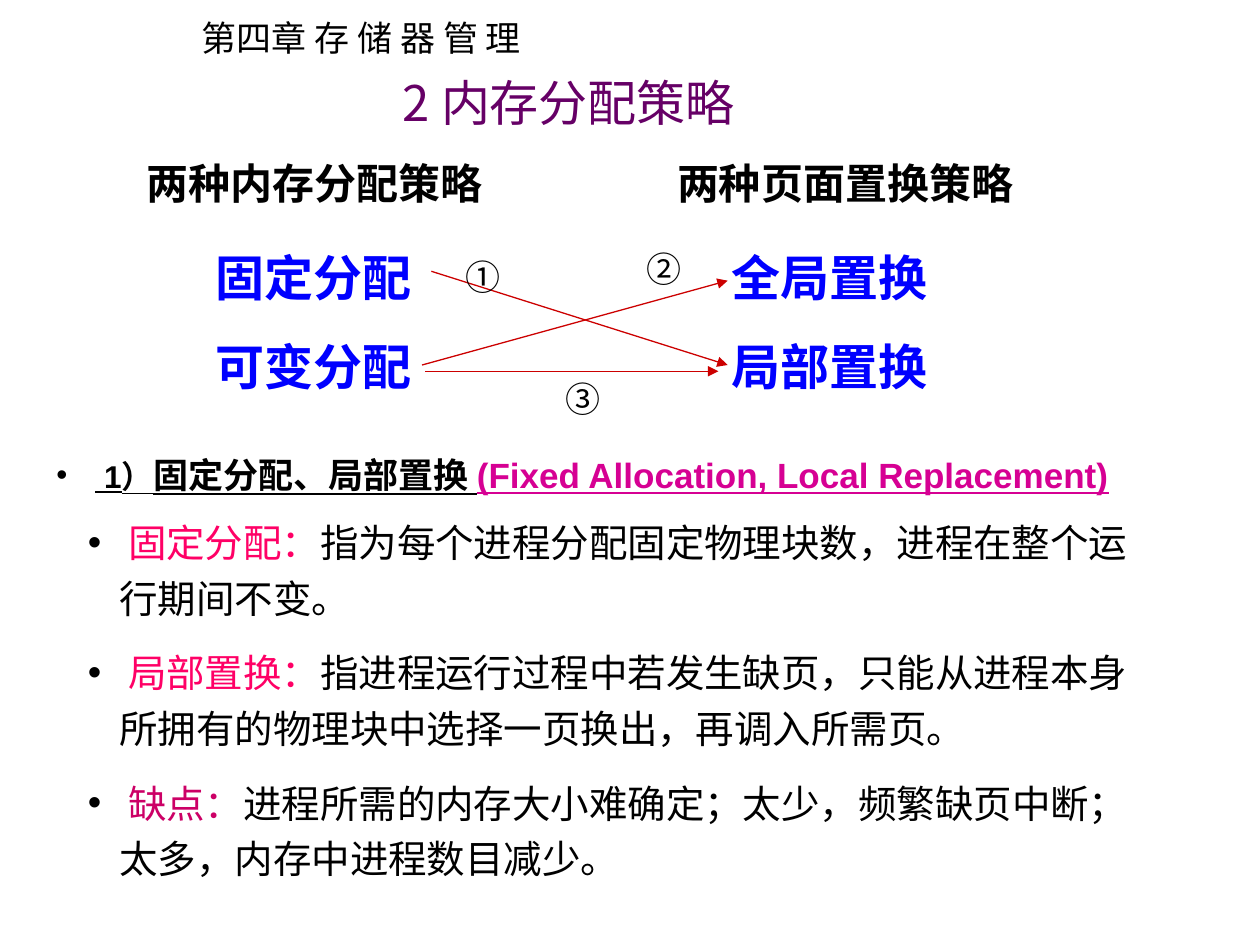
from dataclasses import dataclass

from lxml.etree import SubElement
from pptx import Presentation
from pptx.dml.color import RGBColor as Rgb
from pptx.enum.shapes import MSO_CONNECTOR as Connector
from pptx.enum.text import MSO_AUTO_SIZE as AutoSize, PP_ALIGN as Align
from pptx.oxml.ns import qn
from pptx.util import Inches, Pt


@dataclass(frozen=True)
class Theme:
    black: str = "000000"
    title: str = "660066"
    strategy: str = "0000FF"
    arrow: str = "CC0000"
    english: str = "D60093"
    term: str = "FF0066"
    drawback: str = "CC0066"
    simplified: str = "Noto Sans CJK SC"
    traditional: str = "Noto Sans CJK TC"
    western: str = "Arial"
    number_size: int = 18
    small_size: int = 20
    body_size: int = 22
    column_size: int = 24
    large_size: int = 28


@dataclass(frozen=True)
class Box:
    left: float
    top: float
    width: float
    height: float

    def point(self, x, y):
        return Inches(self.left + x * self.width), Inches(self.top + y * self.height)

    def area(self, x, y, width, height):
        return Box(self.left + x * self.width, self.top + y * self.height,
                   width * self.width, height * self.height)

    def frame(self):
        return [Inches(v) for v in (self.left, self.top, self.width, self.height)]


THEME = Theme()
PAGE = Box(0, 0, 10, 7.5)


def set_family(font, latin, east_asian):
    font.name = latin
    SubElement(font._rPr, qn("a:ea")).set("typeface", east_asian)


def set_colour(font, colour):
    font.color.rgb = Rgb.from_string(colour)


def add_text_frame(shapes, box, wrap=False):
    frame = shapes.add_textbox(*box.frame()).text_frame
    frame.word_wrap = wrap
    frame.auto_size = AutoSize.NONE
    return frame


def add_lines(shapes, box, lines, size, colour, family, bold=False,
              align=Align.LEFT, gap=0, wrap=False):
    frame = add_text_frame(shapes, box, wrap)
    for index, line in enumerate(lines):
        paragraph = frame.add_paragraph() if index else frame.paragraphs[0]
        paragraph.text = line
        paragraph.alignment = align
        if index:
            paragraph.space_before = Pt(gap)
        font = paragraph.font
        font.size = Pt(size)
        font.bold = bold
        set_colour(font, colour)
        set_family(font, family, family)


def add_header(shapes, box):
    add_lines(shapes, box.area(0.15, 0.07, 0.28, 0.4), ["第四章 存 储 器 管 理"],
              THEME.small_size, THEME.black, THEME.simplified)
    add_lines(shapes, box.area(0.31, 0.47, 0.31, 0.52), ["2 内存分配策略"],
              THEME.large_size, THEME.title, THEME.simplified)


def add_strategy_column(shapes, box, heading, options, heading_align, option_left):
    add_lines(shapes, box.area(0, 0, 1, 0.25), [heading], THEME.column_size,
              THEME.black, THEME.traditional, True, heading_align, wrap=True)
    add_lines(shapes, box.area(option_left, 0.36, 0.57, 0.64), options,
              THEME.large_size, THEME.strategy, THEME.traditional, True,
              Align.CENTER, gap=17.5)


def add_pairing(shapes, box, start, end, mark, mark_at):
    pairing = shapes.add_group_shape().shapes
    arrow = pairing.add_connector(Connector.STRAIGHT, *box.point(*start), *box.point(*end))
    arrow.line.color.rgb = Rgb.from_string(THEME.arrow)
    arrow.line.width = Pt(0.75)
    SubElement(arrow.line._get_or_add_ln(), qn("a:tailEnd")).set("type", "triangle")
    SubElement(arrow._element.spPr, qn("a:effectLst"))
    add_lines(pairing, box.area(*mark_at, 0.15, 0.35), [mark], THEME.small_size,
              THEME.black, THEME.traditional, align=Align.CENTER)


def add_strategy_diagram(shapes, box):
    add_strategy_column(shapes, box.area(0, 0, 0.4, 0.91), "两种内存分配策略",
                        ["固定分配", "可变分配"], Align.CENTER, 0.21)
    add_strategy_column(shapes, box.area(0.57, 0, 0.42, 0.91), "两种页面置换策略",
                        ["全局置换", "局部置换"], Align.LEFT, 0.13)
    crossing = box.area(0.31, 0.33, 0.33, 0.57)
    pairings = [
        ((0.04, 0.19), (0.99, 0.79), "①", (0.13, 0.05)),
        ((0.01, 0.79), (0.99, 0.25), "②", (0.71, 0)),
        ((0.02, 0.83), (0.96, 0.83), "③", (0.45, 0.83)),
    ]
    for pairing in pairings:
        add_pairing(shapes, crossing, *pairing)


def add_bullet(paragraph, margin, hanging):
    properties = paragraph._p.get_or_add_pPr()
    properties.set("marL", str(Inches(margin)))
    properties.set("indent", str(-Inches(hanging)))
    colour = SubElement(properties, qn("a:buClr"))
    SubElement(colour, qn("a:srgbClr")).set("val", THEME.black)
    SubElement(properties, qn("a:buFont")).set("typeface", THEME.western)
    SubElement(properties, qn("a:buChar")).set("char", "•")


def add_point(paragraph, pieces, level, margin, hanging, bold):
    paragraph.level = level
    paragraph.line_spacing = 1.2
    add_bullet(paragraph, margin, hanging)
    paragraph.font.bold = bold
    paragraph.font.underline = bold
    set_family(paragraph.font, THEME.western, THEME.simplified)
    for text, size, colour in pieces:
        run = paragraph.add_run()
        run.text = text
        run.font.size = Pt(size)
        set_colour(run.font, colour)


def add_explanation(shapes, box):
    frame = add_text_frame(shapes, box.area(0, 0.01, 1, 0.99), True)
    heading = [
        (" 1）", THEME.number_size, THEME.black),
        ("固定分配、局部置换 ", THEME.small_size, THEME.black),
        ("(Fixed Allocation, Local Replacement)", THEME.small_size, THEME.english),
    ]
    add_point(frame.paragraphs[0], heading, 0, 0.36, 0.31, True)
    details = [
        ("固定分配：", THEME.term, "指为每个进程分配固定物理块数，进程在整个运行期间不变。"),
        ("局部置换：", THEME.term,
         "指进程运行过程中若发生缺页，只能从进程本身所拥有的物理块中选择一页换出，再调入所需页。"),
        ("缺点：", THEME.drawback,
         "进程所需的内存大小难确定；太少，频繁缺页中断；太多，内存中进程数目减少。"),
    ]
    for term, colour, meaning in details:
        paragraph = frame.add_paragraph()
        paragraph.space_before = Pt(8.2)
        paragraph.space_after = Pt(2.8)
        pieces = [(" " + term, THEME.body_size, colour),
                  (meaning, THEME.body_size, THEME.black)]
        add_point(paragraph, pieces, 1, 0.55, 0.25, False)


def main():
    deck = Presentation()
    deck.slide_width, deck.slide_height = Inches(PAGE.width), Inches(PAGE.height)
    shapes = deck.slides.add_slide(deck.slide_layouts[6]).shapes
    add_header(shapes, PAGE.area(0, 0, 1, 0.15))
    add_strategy_diagram(shapes, PAGE.area(0.1, 0.16, 0.75, 0.29))
    add_explanation(shapes, PAGE.area(0.03, 0.46, 0.9, 0.48))
    deck.save("out.pptx")


if __name__ == "__main__":
    main()
